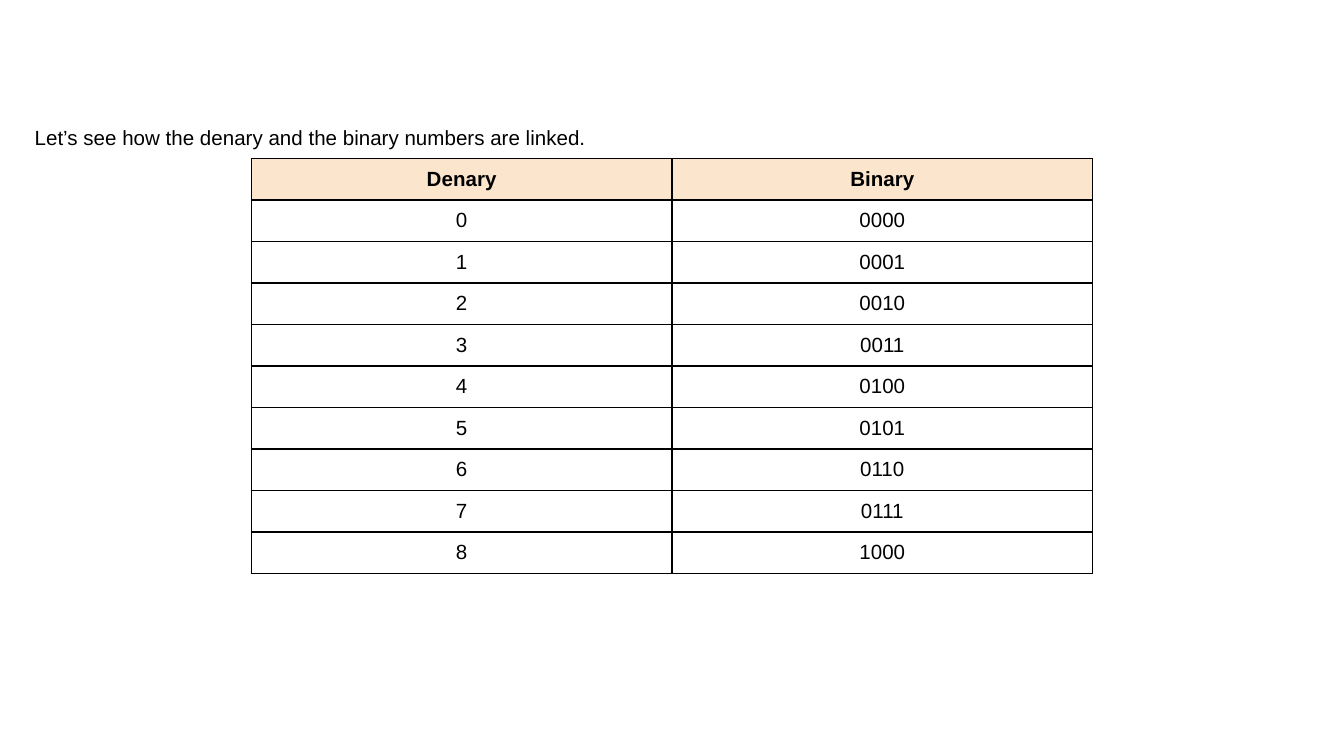
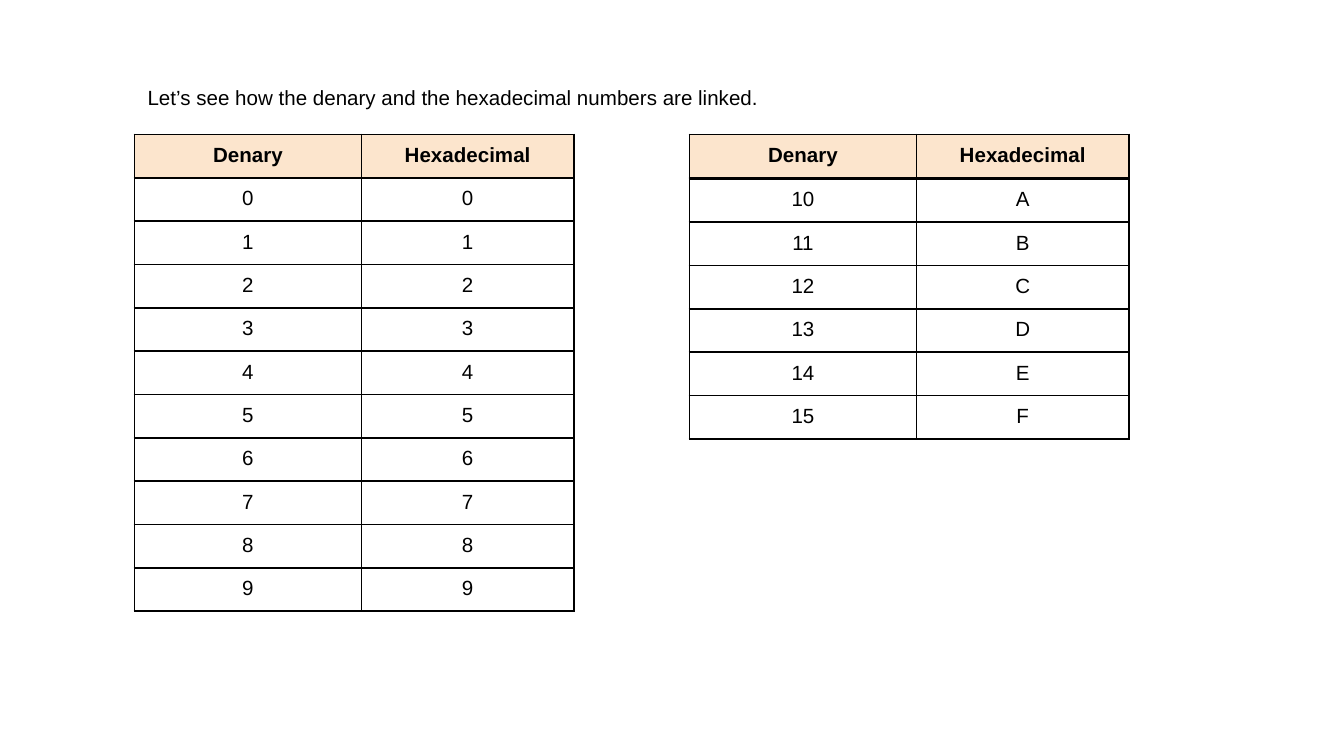
"""Build two slides that link denary numbers to binary and hexadecimal."""
import dataclasses

import lxml.etree
import pptx
import pptx.dml.color
import pptx.enum.text
import pptx.oxml.ns
import pptx.slide
import pptx.text.text
import pptx.util

Inches = pptx.util.Inches
Pt = pptx.util.Pt
qn = pptx.oxml.ns.qn

COLORS = {"ink": "000000", "head": "FCE5CD"}
FONT = "Arial"
SIZE = Pt(11)
EDGES = ("a:lnL", "a:lnR", "a:lnT", "a:lnB")
WIDTH = Inches(10)
HEIGHT = WIDTH * 9 // 16
SHORT = Inches(3.09) // 10
TALL = Inches(3.55) // 11
HEX_COLS = (1.69, 1.58)
HEX_HEAD = ("Denary", "Hexadecimal")

Rows = list[tuple[str, str]]


@dataclasses.dataclass
class Grid:
    left: float
    top: float
    cols: tuple[float, float]
    row: int
    body: Rows
    head: tuple[str, str] | None = None


@dataclasses.dataclass
class Note:
    left: float
    top: float
    width: float
    text: str


@dataclasses.dataclass
class Page:
    items: list[Grid | Note]


def color(name: str) -> pptx.dml.color.RGBColor:
    return pptx.dml.color.RGBColor.from_string(COLORS[name])


def write(frame: pptx.text.text.TextFrame, text: str, bold: bool = False) -> None:
    frame.text = text
    font = frame.paragraphs[0].font
    font.name, font.size, font.bold = FONT, SIZE, bold
    font.color.rgb = color("ink")


def border(cell) -> None:
    props = cell._tc.get_or_add_tcPr()
    for spot, edge in enumerate(EDGES):
        line = lxml.etree.Element(qn(edge), w=str(Pt(1)))
        fill = lxml.etree.SubElement(line, qn("a:solidFill"))
        lxml.etree.SubElement(fill, qn("a:srgbClr"), val=COLORS["ink"])
        props.insert(spot, line)


def draw_cell(cell, text: str, head: bool) -> None:
    cell.margin_left = cell.margin_right = cell.margin_top = Inches(0.07)
    cell.margin_bottom = Inches(0.06)
    write(cell.text_frame, text, head)
    cell.text_frame.paragraphs[0].alignment = pptx.enum.text.PP_ALIGN.CENTER
    if head:
        cell.fill.solid()
        cell.fill.fore_color.rgb = color("head")
    else:
        cell.fill.background()
    border(cell)


def draw_grid(slide: pptx.slide.Slide, grid: Grid) -> None:
    rows = ([grid.head] if grid.head else []) + grid.body
    frame = slide.shapes.add_table(
        len(rows), len(grid.cols), Inches(grid.left), Inches(grid.top),
        Inches(sum(grid.cols)), grid.row * len(rows))
    table = frame.table
    table.first_row = table.horz_banding = False
    for col, width in zip(table.columns, grid.cols):
        col.width = Inches(width)
    for r, row in enumerate(rows):
        table.rows[r].height = grid.row
        for c, text in enumerate(row):
            draw_cell(table.cell(r, c), text, bool(grid.head) and r == 0)


def draw_note(slide: pptx.slide.Slide, note: Note) -> None:
    box = slide.shapes.add_textbox(
        Inches(note.left), Inches(note.top), Inches(note.width), Inches(0.39))
    frame = box.text_frame
    frame.word_wrap = True
    frame.margin_left = frame.margin_right = Inches(0.1)
    frame.margin_top = frame.margin_bottom = Inches(0.1)
    write(frame, note.text)


def pairs(first: int, last: int, form: str) -> Rows:
    return [(str(n), format(n, form)) for n in range(first, last + 1)]


PAGES = [
    Page([
        Grid(1.87, 1.18, (3.13, 3.13), SHORT, pairs(0, 8, "04b"), ("Denary", "Binary")),
        Note(0.16, 0.84, 6.37, "Let’s see how the denary and the binary numbers are linked."),
    ]),
    Page([
        Note(1, 0.54, 4.8, "Let’s see how the denary and the hexadecimal numbers are linked."),
        Grid(5.13, 1.33, HEX_COLS, TALL, pairs(10, 15, "X")),
        Grid(1, 1, HEX_COLS, TALL, pairs(0, 9, "X"), HEX_HEAD),
        Grid(5.13, 1, HEX_COLS, TALL, [], HEX_HEAD),
    ]),
]


def main() -> None:
    deck = pptx.Presentation()
    deck.slide_width, deck.slide_height = WIDTH, HEIGHT
    for page in PAGES:
        slide = deck.slides.add_slide(deck.slide_layouts[6])
        for item in page.items:
            if isinstance(item, Grid):
                draw_grid(slide, item)
            else:
                draw_note(slide, item)
    deck.save("out.pptx")


if __name__ == "__main__":
    main()
